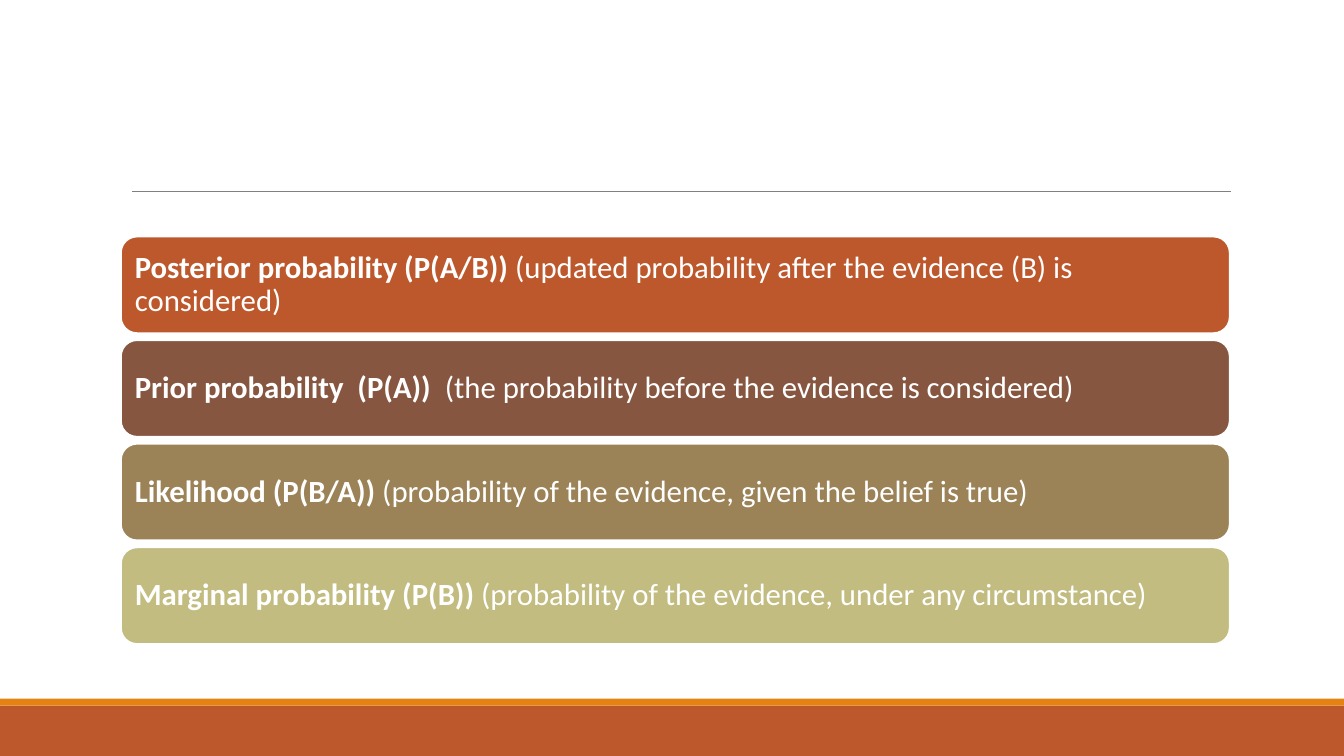
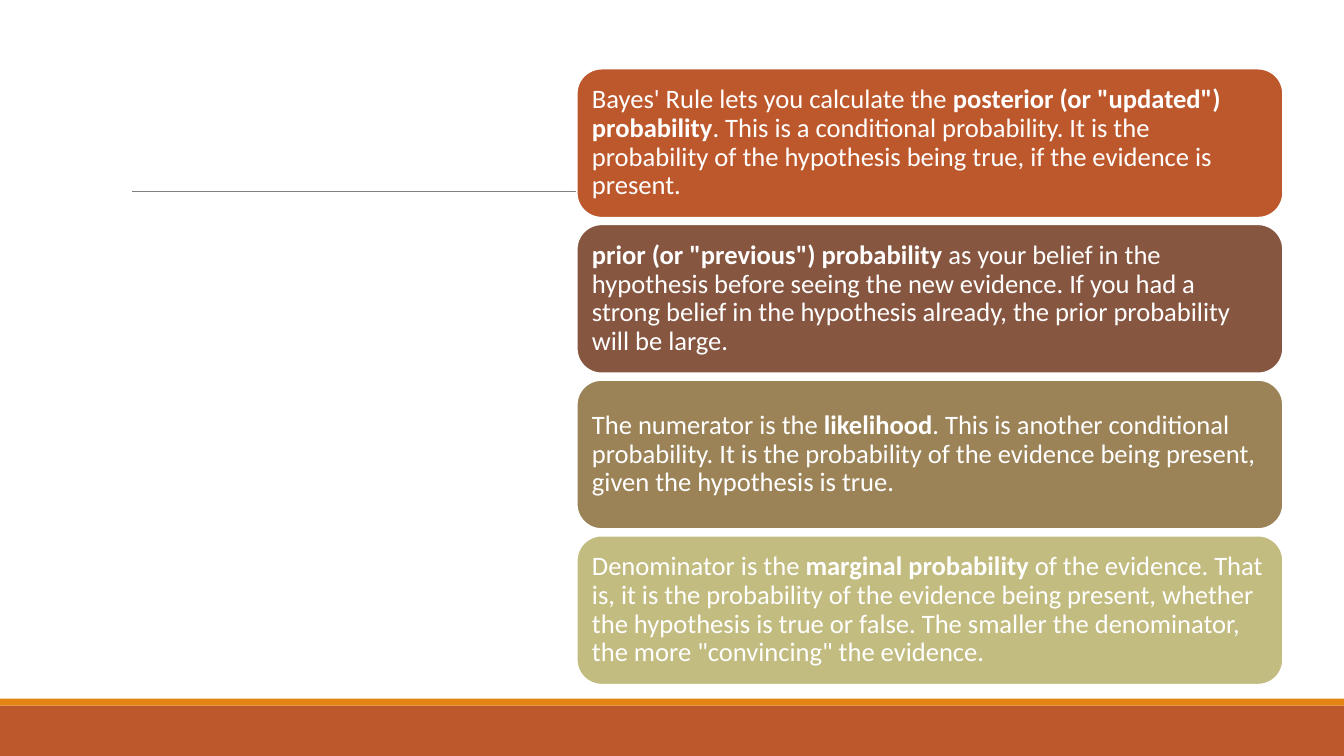
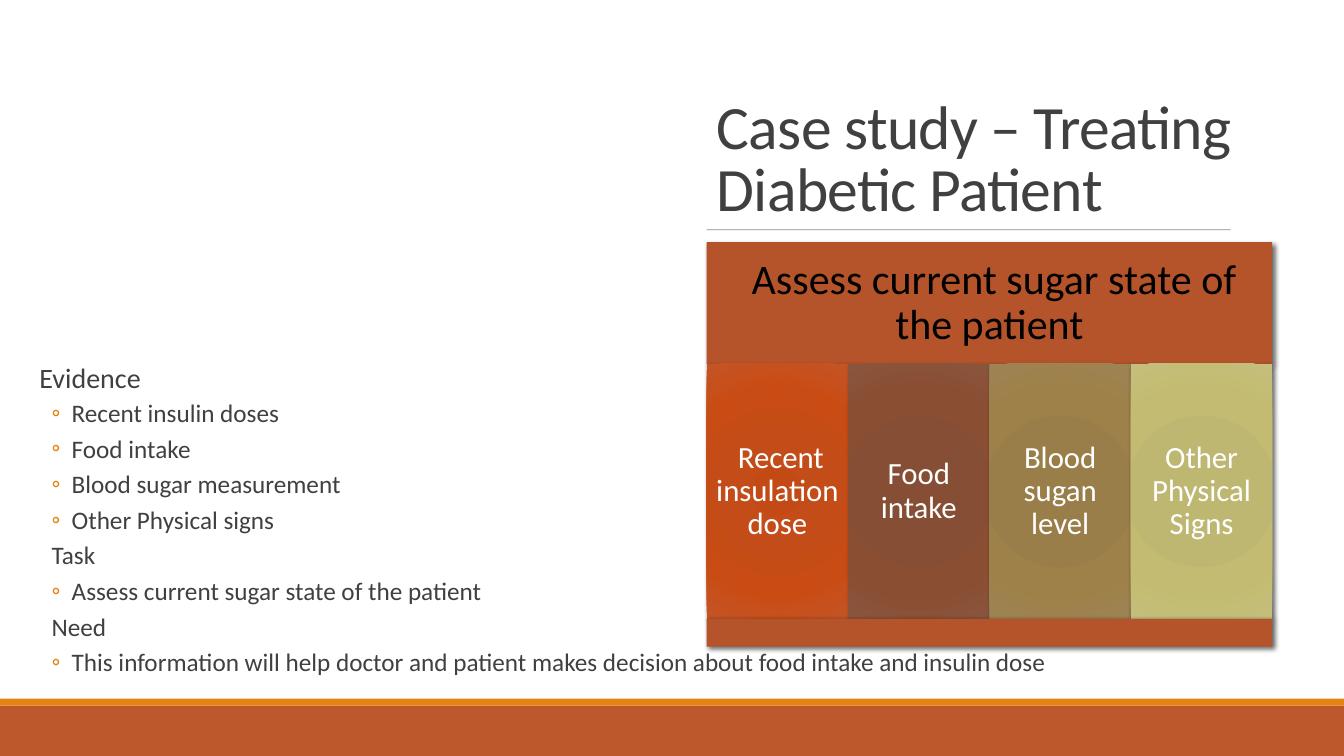
from dataclasses import dataclass

from lxml import etree
from pptx import Presentation
from pptx.dml.color import RGBColor
from pptx.enum import shapes, text
from pptx.oxml import ns
from pptx.util import Pt

WHITE = RGBColor(0xFF, 0xFF, 0xFF)
BLACK = RGBColor(0, 0, 0)
INK = RGBColor(0x40, 0x40, 0x40)
GREY = RGBColor(0x80, 0x80, 0x80)
ORANGE = RGBColor(0xE4, 0x83, 0x12)
RUST = RGBColor(0xBD, 0x58, 0x2C)
DARK_RUST = RGBColor(0xB5, 0x54, 0x2A)
BROWN = RGBColor(0x86, 0x56, 0x40)
TAN = RGBColor(0x9B, 0x83, 0x57)
OLIVE = RGBColor(0xC2, 0xBC, 0x80)

FONT = "Calibri"
SLIDE_W, SLIDE_H = 960, 540
BAR_FILLS = (RUST, BROWN, TAN, OLIVE)
GRADIENT_STOPS = (0, 34, 70, 100)


@dataclass(frozen=True)
class BarStack:
    left: float
    top: float
    width: float
    height: float
    pitch: float
    inset: float
    size: float
    bars: tuple


@dataclass(frozen=True)
class Column:
    label: str
    colors: tuple


@dataclass(frozen=True)
class ListStyle:
    size: float
    before: float
    after: float
    margin: float
    indent: float = 0
    bullet: str = ""
    level: int = 0


HEADING = ListStyle(20, 12, 2, 7.2)
ITEM = ListStyle(18, 2, 4, 30.24, -14.4, "◦", 1)
SUBHEADING = ListStyle(18, 2, 4, 15.84, level=1)

TERMS = BarStack(86.4, 169, 792, 69, 74, 6.6, 22, (
    (("Posterior probability (P(A/B))", True),
     (" (updated probability after the evidence (B) is considered)", False)),
    (("Prior probability  (P(A))", True),
     ("  (the probability before the evidence is considered)", False)),
    (("Likelihood (P(B/A))", True),
     (" (probability of the evidence, given the belief is true)", False)),
    (("Marginal probability (P(B))", True),
     (" (probability of the evidence, under any circumstance)", False)),
))

EXPLANATIONS = BarStack(412, 49, 504.5, 106.5, 111.2, 5.7, 19, (
    (("Bayes' Rule lets you calculate the ", False),
     ('posterior (or "updated") probability', True),
     (". This is a conditional probability. It is the probability of the "
      "hypothesis being true, if the evidence is present.", False)),
    (('prior (or "previous") probability', True),
     (" as your belief in the hypothesis before seeing the new evidence. If you "
      "had a strong belief in the hypothesis already, the prior probability "
      "will be large.", False)),
    (("The numerator is the ", False),
     ("likelihood", True),
     (". This is another conditional probability. It is the probability of the "
      "evidence being present, given the hypothesis is true.", False)),
    (("Denominator is the ", False),
     ("marginal probability", True),
     (" of the evidence. That is, it is the probability of the evidence being "
      "present, whether the hypothesis is true or false. The smaller the "
      'denominator, the more "convincing" the evidence.', False)),
))

COLUMNS = (
    Column(" Recent insulation dose", ("C44A15", "C34C18", "C94C15", "C45525")),
    Column("Food intake", ("874C32", "864E34", "8A4E33", "8A553D")),
    Column("Blood sugan level", ("9A7D48", "9A7E4A", "9E8049", "9E8454")),
    Column("Other Physical Signs", ("BEB76E", "BEB771", "C3BB71", "C5BF7D")),
)

CASE_NOTES = (
    ("Evidence", HEADING),
    ("Recent insulin doses", ITEM),
    ("Food intake", ITEM),
    ("Blood sugar measurement", ITEM),
    ("Other Physical signs", ITEM),
    ("Task", SUBHEADING),
    ("Assess current sugar state of the patient", ITEM),
    ("Need", SUBHEADING),
    ("This information will help doctor and patient makes decision about food "
     "intake and insulin dose", ITEM),
)


def sub(parent, tag: str, **attrs):
    return etree.SubElement(parent, ns.qn(tag), attrs)


def add_box(slide, kind, left: float, top: float, width: float, height: float,
            fill: RGBColor):
    sp = slide.shapes.add_shape(kind, Pt(left), Pt(top), Pt(width), Pt(height))
    sp.shadow.inherit = False
    sp.fill.solid()
    sp.fill.fore_color.rgb = fill
    sp.line.fill.background()
    return sp


def add_rule(slide, left: float, right: float, y: float, opacity: int = 100) -> None:
    line = slide.shapes.add_connector(
        shapes.MSO_CONNECTOR.STRAIGHT, Pt(left), Pt(y), Pt(right), Pt(y))
    line.line.color.rgb = GREY
    line.line.width = Pt(0.5)
    sp_pr = line._element.spPr
    sub(sp_pr, "a:effectLst")
    if opacity < 100:
        color = next(sp_pr.iter(ns.qn("a:srgbClr")))
        sub(color, "a:alpha", val=str(opacity * 1000))


def set_frame(tf, anchor, insets: tuple) -> None:
    tf.word_wrap = True
    tf.auto_size = text.MSO_AUTO_SIZE.NONE
    tf.vertical_anchor = anchor
    tf.margin_left, tf.margin_top, tf.margin_right, tf.margin_bottom = map(Pt, insets)


def set_paragraph(p, size: float, color: RGBColor, align=text.PP_ALIGN.LEFT,
                  spacing: float = 0.9) -> None:
    p.alignment = align
    p.line_spacing = spacing
    p.font.name = FONT
    p.font.size = Pt(size)
    p.font.color.rgb = color


def add_bands(slide) -> None:
    add_box(slide, shapes.MSO_SHAPE.RECTANGLE, 0, 504, SLIDE_W, 36, RUST)
    add_box(slide, shapes.MSO_SHAPE.RECTANGLE, 0, 499, SLIDE_W, 5, ORANGE)


def add_bars(slide, stack: BarStack) -> None:
    for i, (runs, fill) in enumerate(zip(stack.bars, BAR_FILLS)):
        sp = add_box(slide, shapes.MSO_SHAPE.ROUNDED_RECTANGLE, stack.left,
                     stack.top + i * stack.pitch, stack.width, stack.height, fill)
        sp.line.color.rgb = WHITE
        sp.line.width = Pt(1.25)
        set_frame(sp.text_frame, text.MSO_ANCHOR.MIDDLE, (stack.inset,) * 4)
        p = sp.text_frame.paragraphs[0]
        set_paragraph(p, stack.size, WHITE)
        for words, bold in runs:
            r = p.add_run()
            r.text = words
            r.font.bold = bold


def add_shadow(sp) -> None:
    effects = sp._element.spPr.find(ns.qn("a:effectLst"))
    shadow = sub(effects, "a:outerShdw", blurRad=str(Pt(3.5)), dist=str(Pt(2)),
                 dir="2700000", algn="ctr", rotWithShape="0")
    sub(sub(shadow, "a:srgbClr", val="000000"), "a:alpha", val="60000")


def set_radial_fill(sp, colors: tuple) -> None:
    grad = etree.Element(ns.qn("a:gradFill"), rotWithShape="1")
    stops = sub(grad, "a:gsLst")
    for position, color in zip(GRADIENT_STOPS, colors):
        stop = sub(stops, "a:gs", pos=str(position * 1000))
        sub(stop, "a:srgbClr", val=color)
    circle = sub(grad, "a:path", path="circle")
    sub(circle, "a:fillToRect", l="100000", t="100000", r="100000", b="100000")
    sp_pr = sp._element.spPr
    sp_pr.replace(sp_pr.find(ns.qn("a:solidFill")), grad)


def add_panel_part(slide, left: float, top: float, width: float, height: float,
                   label: str = "", size: float = 22, color: RGBColor = WHITE,
                   inset: float = 6.5):
    sp = add_box(slide, shapes.MSO_SHAPE.RECTANGLE, left, top, width, height, DARK_RUST)
    add_shadow(sp)
    if label:
        set_frame(sp.text_frame, text.MSO_ANCHOR.MIDDLE, (inset,) * 4)
        p = sp.text_frame.paragraphs[0]
        p.text = label
        set_paragraph(p, size, color, text.PP_ALIGN.CENTER)
    return sp


def add_panel(slide) -> None:
    left, width = 504.8, 404
    column_w = width / len(COLUMNS)
    add_panel_part(slide, left, 173, width, 87,
                   " Assess current sugar state of the patient", 30, BLACK, 9)
    for i, column in enumerate(COLUMNS):
        sp = add_panel_part(slide, left + i * column_w, 260, column_w, 182, column.label)
        set_radial_fill(sp, column.colors)
    add_panel_part(slide, left, 442, width, 20)


def add_notes_list(slide) -> None:
    tf = slide.shapes.add_textbox(Pt(21), Pt(257), Pt(852.5), Pt(235)).text_frame
    set_frame(tf, text.MSO_ANCHOR.TOP, (0, 3.6, 0, 3.6))
    for i, (words, style) in enumerate(CASE_NOTES):
        p = tf.add_paragraph() if i else tf.paragraphs[0]
        p.text = words
        p.level = style.level
        p.space_before = Pt(style.before)
        p.space_after = Pt(style.after)
        p_pr = p._p.get_or_add_pPr()
        p_pr.set("marL", str(Pt(style.margin)))
        p_pr.set("indent", str(Pt(style.indent)))
        if style.bullet:
            sub(sub(p_pr, "a:buClr"), "a:srgbClr", val=str(ORANGE))
            sub(p_pr, "a:buFont", typeface=FONT)
            sub(p_pr, "a:buChar", char=style.bullet)
        set_paragraph(p, style.size, INK)


def set_title(slide, words: str) -> None:
    title = slide.shapes.title
    title.left, title.top, title.width, title.height = map(Pt, (504.8, 49.5, 404, 114.5))
    set_frame(title.text_frame, text.MSO_ANCHOR.BOTTOM, (7.2, 3.6, 7.2, 3.6))
    p = title.text_frame.paragraphs[0]
    set_paragraph(p, 44, INK, spacing=0.85)
    r = p.add_run()
    r.text = words
    r._r.get_or_add_rPr().set("spc", "-50")


def main() -> None:
    prs = Presentation()
    prs.slide_width, prs.slide_height = Pt(SLIDE_W), Pt(SLIDE_H)
    title_only, blank = prs.slide_layouts[5], prs.slide_layouts[6]

    for stack in (TERMS, EXPLANATIONS):
        slide = prs.slides.add_slide(blank)
        add_bands(slide)
        add_rule(slide, 94.3, 879, 136.8)
        add_bars(slide, stack)

    slide = prs.slides.add_slide(title_only)
    add_bands(slide)
    set_title(slide, "Case study – Treating Diabetic Patient")
    add_rule(slide, 504.8, 879, 164.2, opacity=90)
    add_notes_list(slide)
    add_panel(slide)

    prs.save("out.pptx")


if __name__ == "__main__":
    main()
